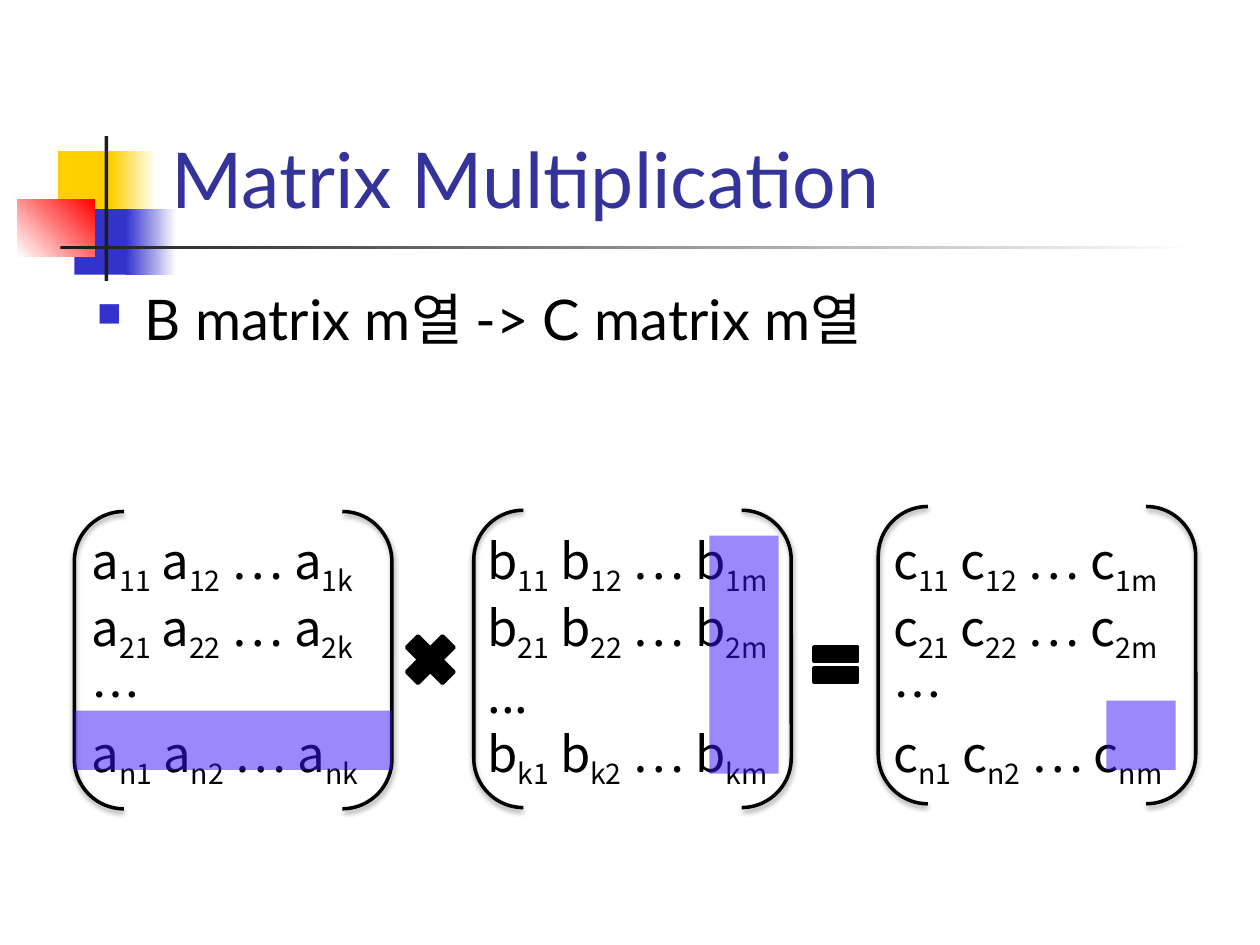
from lxml import etree
from pptx import Presentation
from pptx.dml.color import RGBColor
from pptx.enum import shapes, text
from pptx.oxml import ns
from pptx.util import Inches, Pt

COLORS = {
    "yellow": "FFCF01", "blue": "3333CC", "red": "FF0000", "white": "FFFFFF",
    "dark": "1C1C1C", "title": "333399", "black": "000000", "highlight": "3812F8",
}
HEADING_FONT = "Lato"
MATRIX_FONT = "Noto Sans CJK KR"
KOREAN_FONT = "Noto Sans CJK KR"
SHAPE = shapes.MSO_SHAPE


def color(name):
    return RGBColor.from_string(COLORS[name])


def add_xml(parent, tag, **attributes):
    return etree.SubElement(parent, ns.qn(tag), attributes)


def write(paragraph, content, *, size, font, ink="black", baseline=0):
    """Append one formatted run to a paragraph."""
    run = paragraph.add_run()
    run.text = content
    run.font.size = Pt(size)
    run.font.name = font
    run.font.color.rgb = color(ink)
    properties = run.font._element
    add_xml(properties, "a:ea", typeface=KOREAN_FONT)
    if baseline:
        properties.set("baseline", str(baseline * 1000))


class SlideBuilder:
    def __init__(self, presentation):
        self.slide = presentation.slides.add_slide(presentation.slide_layouts[5])

    def shape(self, kind, box, fill=None, line=None):
        shape = self.slide.shapes.add_shape(kind, *map(Inches, box))
        shape.shadow.inherit = False
        if fill:
            shape.fill.solid()
            shape.fill.fore_color.rgb = color(fill)
        else:
            shape.fill.background()
        if line:
            shape.line.color.rgb = color(line)
            shape.line.width = Pt(2)
        else:
            shape.line.fill.background()
        return shape

    def gradient(self, box, start, end, angle=0):
        shape = self.shape(SHAPE.RECTANGLE, box)
        shape.fill.gradient()
        shape.fill.gradient_angle = angle
        for stop, name, position in zip(shape.fill.gradient_stops, (start, end), (0, 1)):
            stop.color.rgb = color(name)
            stop.position = position

    def highlight(self, box):
        shape = self.shape(SHAPE.RECTANGLE, box, fill="highlight")
        fill_color = shape.element.spPr.find(".//" + ns.qn("a:srgbClr"))
        add_xml(fill_color, "a:alpha", val="50000")

    def brackets(self, box):
        shape = self.shape(SHAPE.DOUBLE_BRACKET, box, line="black")
        effects = shape.element.spPr.find(ns.qn("a:effectLst"))
        shadow = add_xml(effects, "a:outerShdw", blurRad=str(Pt(3.1)), dist=str(Pt(1.6)),
                         dir="5400000", rotWithShape="0")
        shadow_color = add_xml(shadow, "a:srgbClr", val=COLORS["black"])
        add_xml(shadow_color, "a:alpha", val="38000")

    def title(self, content, box):
        title = self.slide.shapes.title
        title.left, title.top, title.width, title.height = map(Inches, box)
        frame = title.text_frame
        frame.word_wrap = True
        frame.auto_size = text.MSO_AUTO_SIZE.NONE
        frame.vertical_anchor = text.MSO_ANCHOR.BOTTOM
        paragraph = frame.paragraphs[0]
        paragraph.alignment = text.PP_ALIGN.LEFT
        write(paragraph, content, size=44, font=HEADING_FONT, ink="title")
        # Bring the title in front of the ornament
        self.slide.shapes.element.append(title.element)

    def bullet(self, content, box):
        frame = self.slide.shapes.add_textbox(*map(Inches, box)).text_frame
        frame.word_wrap = True
        paragraph = frame.paragraphs[0]
        properties = paragraph._p.get_or_add_pPr()
        properties.set("marL", str(Inches(0.38)))
        properties.set("indent", str(-Inches(0.38)))
        bullet_color = add_xml(properties, "a:buClr")
        add_xml(bullet_color, "a:srgbClr", val=COLORS["blue"])
        add_xml(properties, "a:buSzPct", val="60000")
        add_xml(properties, "a:buChar", char="■")
        write(paragraph, content, size=32, font=HEADING_FONT)

    def matrix(self, box, letter, last_row, last_column, dots="…"):
        frame = self.slide.shapes.add_textbox(*map(Inches, box)).text_frame
        frame.word_wrap = False
        frame.auto_size = text.MSO_AUTO_SIZE.SHAPE_TO_FIT_TEXT
        style = dict(size=28, font=MATRIX_FONT)
        for index, row in enumerate(("1", "2", None, last_row)):
            paragraph = frame.add_paragraph() if index else frame.paragraphs[0]
            if row is None:
                write(paragraph, dots, **style)
                continue
            for lead, column in (("", "1"), (" ", "2"), (" … ", last_column)):
                write(paragraph, lead + letter, **style)
                write(paragraph, row + column, baseline=-25, **style)


def main():
    presentation = Presentation()
    presentation.slide_width, presentation.slide_height = Inches(10), Inches(7.5)
    builder = SlideBuilder(presentation)

    # Ornament beside the title
    builder.shape(SHAPE.RECTANGLE, (0.46, 1.2, 0.48, 0.52), fill="yellow")
    builder.gradient((0.88, 1.2, 0.36, 0.52), "yellow", "white")
    builder.shape(SHAPE.RECTANGLE, (0.59, 1.66, 0.46, 0.52), fill="blue")
    builder.gradient((1, 1.66, 0.4, 0.52), "blue", "white")
    builder.gradient((0.14, 1.58, 0.61, 0.46), "white", "red", angle=45)
    builder.shape(SHAPE.RECTANGLE, (0.83, 1.08, 0.03, 1.15), fill="dark")
    builder.gradient((0.48, 1.95, 9, 0.03), "dark", "white")

    # Title and statement
    builder.title("Matrix Multiplication", (1.26, 0.23, 8.52, 1.6))
    builder.bullet("B matrix m열 -> C matrix m열", (0.67, 2.21, 8.5, 4.5))

    # Matrix entries
    builder.matrix((0.63, 4.16, 2.44, 1.99), "a", "n", "k")
    builder.matrix((3.77, 4.16, 2.52, 1.99), "b", "k", "m", dots="...")
    builder.matrix((6.99, 4.16, 2.45, 1.99), "c", "n", "m")

    # Operators
    builder.shape(SHAPE.MATH_MULTIPLY, (3.14, 4.96, 0.55, 0.55), "black", "black")
    builder.shape(SHAPE.MATH_EQUAL, (6.4, 5.04, 0.47, 0.47), "black", "black")

    # Brackets
    for left, top in ((0.59, 4.06), (3.76, 4.05), (6.97, 4.02)):
        builder.brackets((left, top, 2.52, 2.36))

    # Highlighted row, column and resulting entry
    for box in ((0.59, 5.64, 2.52, 0.47), (5.63, 4.25, 0.55, 1.89), (8.78, 5.56, 0.55, 0.55)):
        builder.highlight(box)

    presentation.save("out.pptx")


if __name__ == "__main__":
    main()
